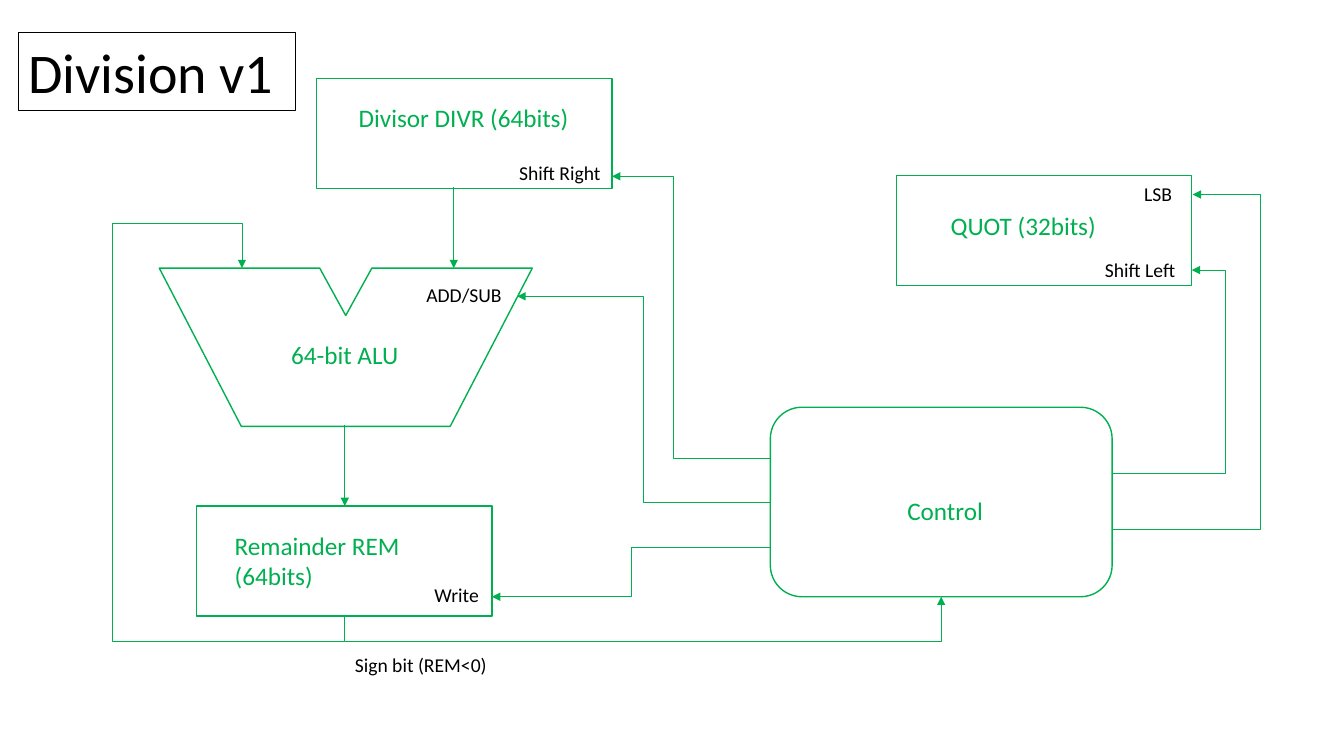
from lxml.etree import SubElement
from pptx import Presentation
from pptx.dml.color import RGBColor
from pptx.enum.shapes import MSO_CONNECTOR, MSO_SHAPE
from pptx.enum.text import MSO_ANCHOR, MSO_AUTO_SIZE, PP_ALIGN
from pptx.oxml.ns import qn
from pptx.util import Inches, Pt

GREEN = RGBColor(0x00, 0xB0, 0x50)
BLACK = RGBColor(0x00, 0x00, 0x00)
WHITE = RGBColor(0xFF, 0xFF, 0xFF)

# Every length is counted in columns and rows of a square grid
CELL = 0.1
NAME = {"name": "Calibri", "size": Pt(18), "bold": False}
PORT = {"name": "Calibri", "size": Pt(14), "bold": False}
TITLE = {"name": "Calibri", "size": Pt(40), "bold": False}
FRAME = {"word_wrap": True, "auto_size": MSO_AUTO_SIZE.NONE,
         "vertical_anchor": MSO_ANCHOR.TOP,
         "margin_left": Inches(0.1), "margin_right": Inches(0.1),
         "margin_top": Inches(0.05), "margin_bottom": Inches(0.05)}


def grid(*cells):
    return [Inches(cell * CELL) for cell in cells]


def apply(target, values):
    for key, value in values.items():
        setattr(target, key, value)


def write(shape, text, style, color):
    apply(shape.text_frame, FRAME)
    para = shape.text_frame.paragraphs[0]
    para.alignment = PP_ALIGN.LEFT
    span = para.add_run()
    span.text = text
    apply(span.font, style)
    span.font.color.rgb = color


def add_label(page, box, offset, text, style=PORT, color=BLACK):
    """Text placed at (column, row, width) inside the box."""
    column, row, width = offset
    height = 3.4 if style is PORT else 7.1
    label = page.shapes.add_textbox(
        *grid(box[0] + column, box[1] + row, width, height))
    write(label, text, style, color)


def paint(shape):
    shape.shadow.inherit = False
    shape.fill.solid()
    shape.fill.fore_color.rgb = WHITE
    shape.line.color.rgb = GREEN
    shape.line.width = Pt(1)


def add_block(page, box, kind, name, name_at, ports=()):
    """Outlined block with its name and its control ports."""
    paint(page.shapes.add_shape(kind, *grid(*box)))
    add_label(page, box, name_at, name, NAME, GREEN)
    for text, offset in ports:
        add_label(page, box, offset, text)


def add_alu(page, box):
    """Trapezoid with a notch between its two inputs."""
    left, top, width, height = box
    outline = [(0, 0), (0.43, 0), (0.5, 0.3), (0.57, 0),
               (1, 0), (0.78, 1), (0.22, 1)]
    corners = [grid(left + x * width, top + y * height) for x, y in outline]
    builder = page.shapes.build_freeform(*corners[0], scale=1.0)
    builder.add_line_segments(corners[1:], close=True)
    paint(builder.convert_to_shape())
    add_label(page, box, (12.1, 6.6, 15.4), "64-bit ALU", NAME, GREEN)
    add_label(page, box, (25.5, 1, 10), "ADD/SUB")


def add_route(page, *points):
    """One arrow through right-angled points: straight or bent connector."""
    (x1, y1), (x2, y2) = points[0], points[-1]
    legs = len(points) - 1
    turned = legs > 1 and points[0][0] == points[1][0]
    begin, end = points[0], points[-1]
    if turned:  # a bent connector leaves sideways, so turn it a quarter
        center_x, center_y = (x1 + x2) / 2, (y1 + y2) / 2
        half_x, half_y = (x2 - x1) / 2, (y2 - y1) / 2
        begin = center_x - half_y, center_y + half_x
        end = center_x + half_y, center_y - half_x
    kind = MSO_CONNECTOR.ELBOW if legs > 1 else MSO_CONNECTOR.STRAIGHT
    arrow = page.shapes.add_connector(kind, *grid(*begin, *end))
    arrow.line.color.rgb = GREEN
    arrow.line.width = Pt(0.5)
    properties = arrow._element.spPr
    if turned:
        properties.find(qn("a:xfrm")).set("rot", "5400000")
    if legs > 1:
        shape = properties.find(qn("a:prstGeom"))
        shape.set("prst", f"bentConnector{legs}")
        guides = shape.find(qn("a:avLst"))
        for bend in range(1, legs - 1):
            axis = (bend + 1 + turned) % 2
            first, last = points[0][axis], points[-1][axis]
            share = (points[bend][axis] - first) / (last - first)
            SubElement(guides, qn("a:gd"), name=f"adj{bend}",
                       fmla=f"val {round(share * 100000)}")
    SubElement(properties.find(qn("a:ln")), qn("a:tailEnd"), type="triangle")
    SubElement(properties, qn("a:effectLst"))


def add_title(page, box, text):
    title = page.shapes.title
    apply(title, dict(zip(("left", "top", "width", "height"), grid(*box))))
    title.line.color.rgb = BLACK
    title.line.width = Pt(0.75)
    write(title, text, TITLE, BLACK)


def add_data_path(page):
    """Registers and ALU with the data arrows between them."""
    rectangle = MSO_SHAPE.RECTANGLE
    add_block(page, (31.4, 7.8, 29.3, 10.9), rectangle,
              "Divisor DIVR (64bits)", (3.2, 1.9, 26.6),
              [("Shift Right", (19.1, 7.7, 10.7))])
    add_block(page, (19.5, 50.2, 29.3, 10.9), rectangle,
              "Remainder REM (64bits)", (2.8, 1.9, 22),
              [("Write", (22.6, 7.1, 6.8))])
    add_block(page, (88.9, 17.4, 29.3, 10.9), rectangle,
              "QUOT (32bits)", (4.4, 3, 26.6),
              [("LSB", (23.6, 0.2, 5.8)), ("Shift Left", (19.7, 7.7, 9.6))])
    add_alu(page, (15.8, 26.6, 37, 15.7))
    add_route(page, (45, 18.6), (45, 26.6))
    add_route(page, (34.2, 42.2), (34.2, 50.2))
    # Remainder back to the first ALU input
    add_route(page, (34.2, 61.1), (34.2, 63.6), (11.1, 63.6),
              (11.1, 22.1), (24, 22.1), (24, 26.6))


def add_control(page, box):
    """Control unit, its signals and the sign bit that feeds it."""
    left, top, width, height = box
    right, bottom = left + width, top + height
    add_block(page, box, MSO_SHAPE.ROUNDED_RECTANGLE,
              "Control", (12.6, 8.2, 12.5))
    # Signals: side, row of departure, column of the bend, target
    signals = [(left, 5.1, 66.8, (60.7, 17.5)),
               (left, 9.4, 63.8, (51.3, 29.4)),
               (left, 13.9, 62.6, (48.8, 59.2)),
               (right, 6.6, 121.5, (118.2, 26.8)),
               (right, 12.1, 125, (118.3, 19.3))]
    for side, row, bend, target in signals:
        add_route(page, (side, top + row), (bend, top + row),
                  (bend, target[1]), target)
    middle = left + width / 2
    add_route(page, (34.2, 63.6), (middle, 63.6), (middle, bottom))
    add_label(page, (34.2, 63.6), (0, 0.7, 20.1), "Sign bit (REM<0)")


deck = Presentation()
deck.slide_width, deck.slide_height = Inches(13.33), Inches(7.5)
page = deck.slides.add_slide(deck.slide_layouts[5])
add_title(page, (1.8, 3.2, 27.5, 7.8), "Division v1")
add_data_path(page)
add_control(page, (76.4, 40.4, 33.9, 18.8))
deck.save("out.pptx")
